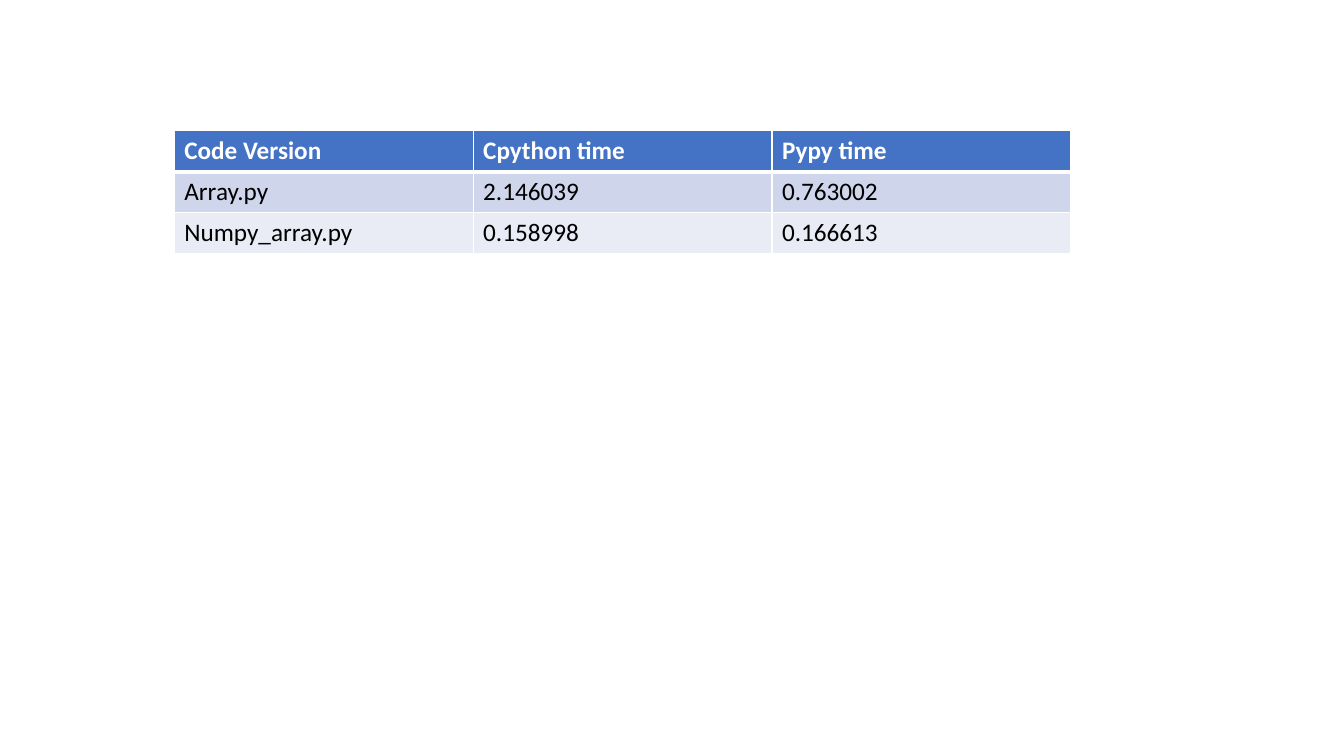
from typing import NamedTuple

from lxml import etree
from pptx import Presentation, util as u
from pptx.dml.color import RGBColor
from pptx.oxml import ns

EMU_PER_PX = 6350
WHITE = RGBColor(0xFF, 0xFF, 0xFF)
BLACK = RGBColor(0x00, 0x00, 0x00)
HEADER_BLUE = RGBColor(0x44, 0x72, 0xC4)
BAND_DARK = RGBColor(0xCF, 0xD5, 0xEA)
BAND_LIGHT = RGBColor(0xE9, 0xEB, 0xF5)

LEFT, TOP, COLUMN_WIDTH, ROW_HEIGHT = 249, 187, 427, 58
THIN, THICK = 1, 3


class TimingRow(NamedTuple):
    values: tuple[str, ...]
    fill: RGBColor
    color: RGBColor = BLACK
    bold: bool = False
    above: int = THIN
    below: int = THIN


TIMINGS = (
    TimingRow(("Code Version", "Cpython time", "Pypy time"),
              HEADER_BLUE, WHITE, bold=True, below=THICK),
    TimingRow(("Array.py", "2.146039", "0.763002"), BAND_DARK, above=THICK),
    TimingRow(("Numpy_array.py", "0.158998", "0.166613"), BAND_LIGHT),
)


def px(length: int) -> u.Emu:
    return u.Emu(length * EMU_PER_PX)


def write(frame, content: str, *, color: RGBColor, bold: bool = False,
          size: int = 18, font: str = "Calibri") -> None:
    run = frame.paragraphs[0].add_run()
    run.text = content
    run.font.name = font
    run.font.size = u.Pt(size)
    run.font.bold = bold
    run.font.color.rgb = color


def add_borders(cell, *, above: int, below: int) -> None:
    properties = cell._tc.get_or_add_tcPr()
    for side, width in (("L", THIN), ("R", THIN), ("T", above), ("B", below)):
        border = etree.SubElement(properties, ns.qn(f"a:ln{side}"), w=str(u.Pt(width)))
        paint = etree.SubElement(border, ns.qn("a:solidFill"))
        etree.SubElement(paint, ns.qn("a:srgbClr"), val=str(WHITE))


def add_timings(slide, timings: tuple[TimingRow, ...]) -> None:
    columns = len(timings[0].values)
    table = slide.shapes.add_table(
        len(timings), columns, px(LEFT), px(TOP),
        px(columns * COLUMN_WIDTH), px(len(timings) * ROW_HEIGHT)).table
    for row, timing in zip(table.rows, timings):
        for cell, value in zip(row.cells, timing.values):
            add_borders(cell, above=timing.above, below=timing.below)
            cell.fill.solid()
            cell.fill.fore_color.rgb = timing.fill
            write(cell.text_frame, value, color=timing.color, bold=timing.bold)


def main() -> None:
    deck = Presentation()
    deck.slide_width, deck.slide_height = px(1920), px(1080)
    slide = deck.slides.add_slide(deck.slide_layouts[6])
    add_timings(slide, TIMINGS)
    deck.save("out.pptx")


if __name__ == "__main__":
    main()
